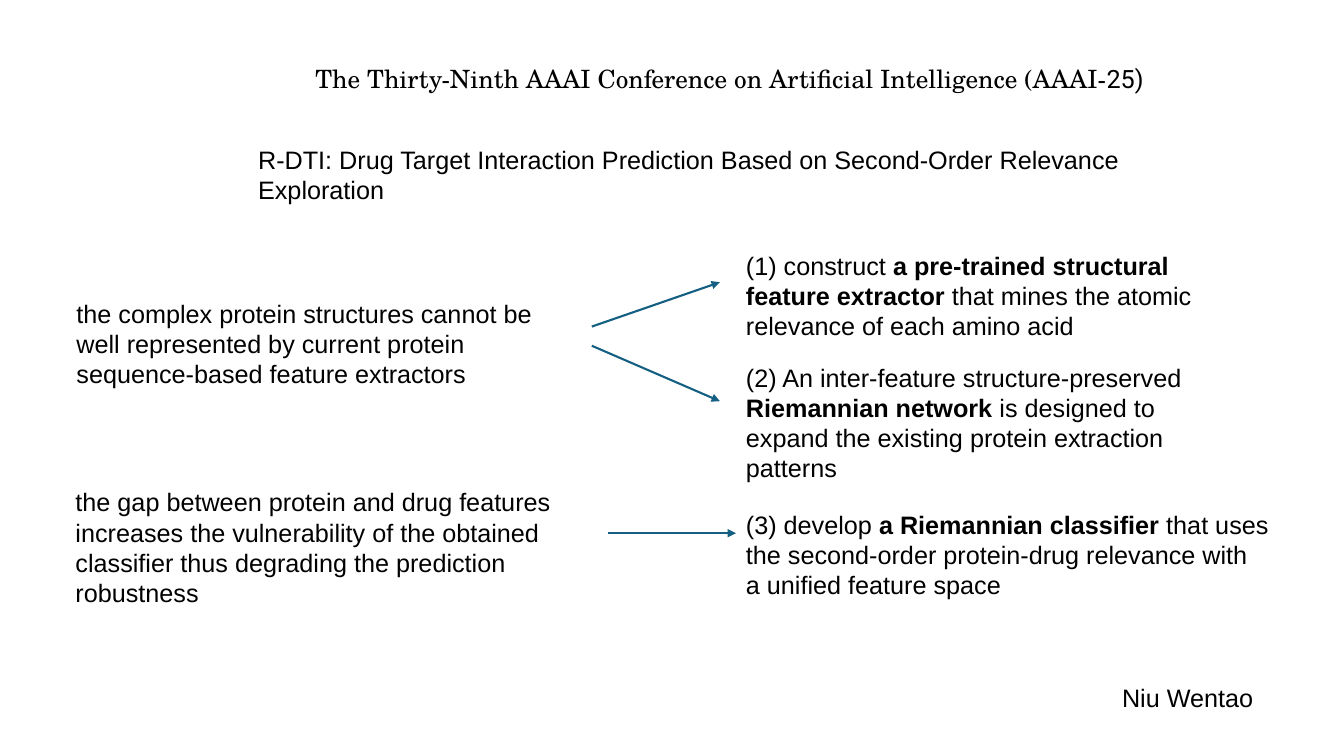
from dataclasses import dataclass

from lxml.etree import SubElement
from pptx import Presentation
from pptx.dml.color import RGBColor
from pptx.enum.shapes import MSO_CONNECTOR
from pptx.enum.text import MSO_ANCHOR, MSO_AUTO_SIZE as AutoSize, PP_ALIGN
from pptx.oxml.ns import qn
from pptx.shapes.base import BaseShape
from pptx.slide import Slide
from pptx.util import Emu, Pt

EMU_PER_PX = 9144


@dataclass(frozen=True)
class Theme:
    ink: RGBColor = RGBColor(0, 0, 0)
    arrow: RGBColor = RGBColor(0x15, 0x60, 0x82)
    body_font: str = "Arial"
    text_size: Pt = Pt(18)
    arrow_width: Pt = Pt(1.5)


THEME = Theme()


@dataclass(frozen=True)
class Span:
    text: str
    bold: bool = False
    font: str = THEME.body_font


@dataclass(frozen=True)
class Statement:
    left: int
    top: int
    width: int
    height: int
    spans: tuple[Span, ...]


@dataclass(frozen=True)
class Arrow:
    start: tuple[int, int]
    end: tuple[int, int]


PAPER_TITLE = Statement(246, 138, 970, 40, (
    Span("R-DTI: Drug Target Interaction Prediction Based on "
         "Second-Order Relevance Exploration"),))

STATEMENTS = (
    Statement(303, 58, 912, 40, (
        Span("The Thirty-Ninth AAAI Conference on Artificial Intelligence (AAAI-",
             font="TeX Gyre Schola"),
        Span("25)", font="Roboto"))),
    Statement(66, 291, 511, 101, (
        Span("the complex protein structures cannot be well represented by "
             "current protein sequence-based feature extractors"),)),
    Statement(65, 478, 538, 101, (
        Span("the gap between protein and drug features increases the "
             "vulnerability of the obtained classifier thus degrading the "
             "prediction robustness"),)),
    Statement(730, 243, 511, 101, (
        Span("(1) construct "),
        Span("a pre-trained structural feature extractor", bold=True),
        Span(" that mines the atomic relevance of each amino acid"))),
    Statement(730, 354, 511, 101, (
        Span("(2) An inter-feature structure-preserved "),
        Span("Riemannian network ", bold=True),
        Span("is designed to expand the existing protein extraction patterns"))),
    Statement(730, 500, 538, 101, (
        Span("(3) develop "),
        Span("a Riemannian classifier ", bold=True),
        Span("that uses the second-order protein-drug relevance with a "
             "unified feature space"))),
    Statement(1103, 672, 165, 40, (Span("Niu Wentao"),)),
)

ARROWS = (
    Arrow((587, 324), (714, 280)),
    Arrow((587, 343), (714, 398)),
    Arrow((603, 529), (730, 529)),
)


def px(length: int) -> Emu:
    return Emu(length * EMU_PER_PX)


def write_statement(shape: BaseShape, statement: Statement) -> None:
    """Place the shape and fill it with the statement's formatted spans."""
    shape.left, shape.top = px(statement.left), px(statement.top)
    shape.width, shape.height = px(statement.width), px(statement.height)
    frame = shape.text_frame
    frame.word_wrap = True
    frame.auto_size = AutoSize.SHAPE_TO_FIT_TEXT
    frame.vertical_anchor = MSO_ANCHOR.TOP
    paragraph = frame.paragraphs[0]
    paragraph.alignment = PP_ALIGN.LEFT
    for span in statement.spans:
        run = paragraph.add_run()
        run.text = span.text
        run.font.name = span.font
        run.font.size = THEME.text_size
        run.font.bold = span.bold
        run.font.color.rgb = THEME.ink


def draw_arrow(slide: Slide, arrow: Arrow) -> None:
    connector = slide.shapes.add_connector(
        MSO_CONNECTOR.STRAIGHT, *map(px, arrow.start + arrow.end))
    connector.line.color.rgb = THEME.arrow
    connector.line.width = THEME.arrow_width
    SubElement(connector.line._get_or_add_ln(), qn("a:tailEnd"), type="triangle")
    SubElement(connector._element.spPr, qn("a:effectLst"))


def main() -> None:
    deck = Presentation()
    deck.slide_width, deck.slide_height = px(1333), px(750)
    slide = deck.slides.add_slide(deck.slide_layouts.get_by_name("Title Only"))
    write_statement(slide.shapes.title, PAPER_TITLE)
    for statement in STATEMENTS:
        write_statement(slide.shapes.add_textbox(0, 0, 0, 0), statement)
    for arrow in ARROWS:
        draw_arrow(slide, arrow)
    deck.save("out.pptx")


if __name__ == "__main__":
    main()
